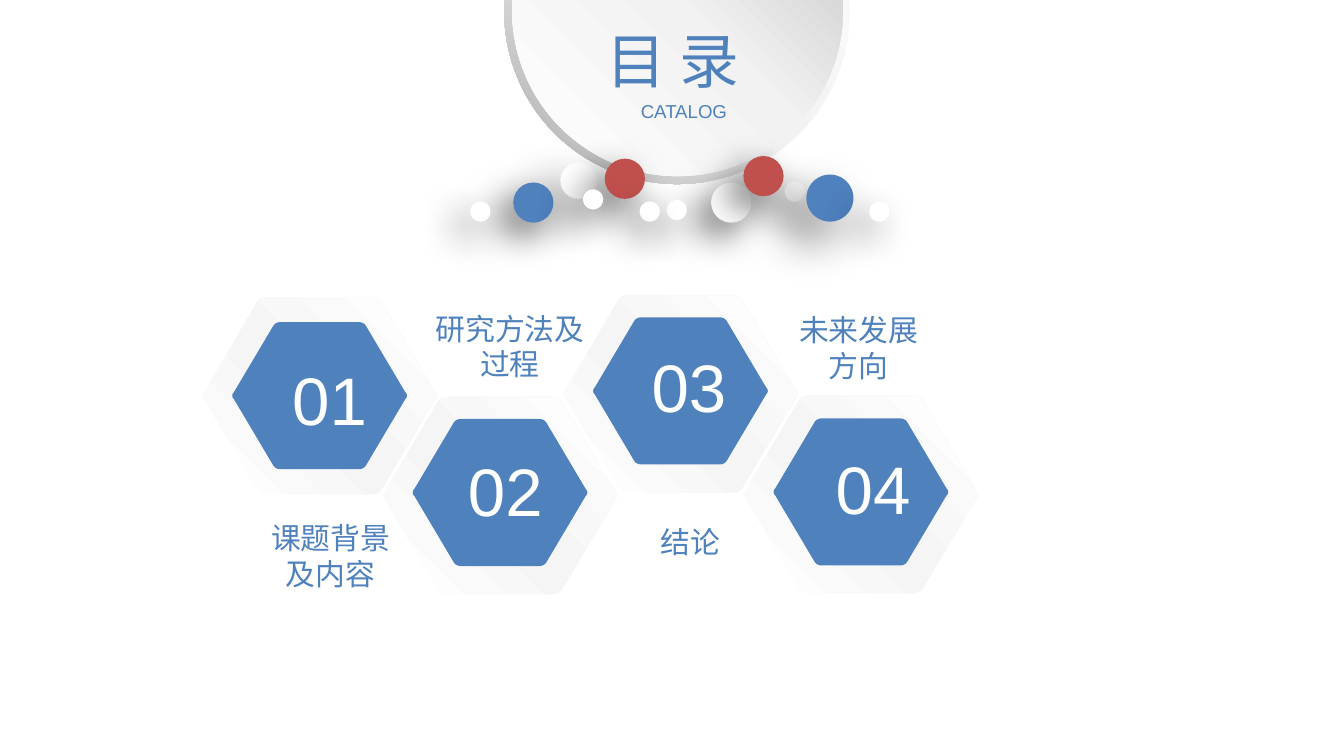
from dataclasses import dataclass
from lxml import etree
from pptx import Presentation
from pptx import util as u
from pptx.dml.color import RGBColor
from pptx.enum import shapes, text
from pptx.oxml.ns import qn


@dataclass(frozen=True)
class Theme:
    blue: str = "4F81BD"
    red: str = "C0504D"
    white: str = "FFFFFF"
    shadow: str = "000000"
    rim: tuple = ((0, "FFFFFF"), (55, "F2F2F2"), (100, "A6A6A6"))
    disc: tuple = ((0, "FFFFFF"), (51, "F2F2F2"), (100, "BFBFBF"))
    sheen: tuple = ((0, "FFFFFF"), (47, "F5F5F5"), (100, "FFFFFF"))
    latin: str = "Arial"
    cjk: str = "Noto Sans CJK SC"
    title: int = 32
    subtitle: int = 10
    number: int = 36
    label: int = 16


def bezier(a, b, c, d, steps=6):
    """Points along a cubic curve, both ends included."""
    for i in range(steps + 1):
        t = i / steps
        v = 1 - t
        yield tuple(v**3 * p + 3 * v * v * t * q + 3 * v * t * t * m + t**3 * n
                    for p, q, m, n in zip(a, b, c, d))


def rounded_hexagon():
    """Outline with soft corners, centred on 0,0 and reaching from -1 to 1."""
    top = list(bezier((.45, -1), (.485, -1), (.515, -.98), (.53, -.95)))
    side = list(bezier((.98, -.05), (1.007, -.02), (1.007, .02), (.98, .05)))
    right = top + side + [(x, -y) for x, y in reversed(top)]
    return right + [(-x, -y) for x, y in right]


class Deck:
    def __init__(self, width, height, theme):
        self.th = theme
        self.prs = Presentation()
        self.prs.slide_width, self.prs.slide_height = u.Cm(width), u.Cm(height)
        self.s = self.prs.slides.add_slide(self.prs.slide_layouts[5])
        self.outline = rounded_hexagon()

    def paint(self, sp, fill, angle=0):
        """Fill with one colour, or with stops along a clockwise angle."""
        sp.shadow.inherit = False
        sp.line.fill.background()
        if isinstance(fill, str):
            sp.fill.solid()
            sp.fill.fore_color.rgb = RGBColor.from_string(fill)
            return
        sp.fill.gradient()
        sp.fill.gradient_angle = 360 - angle
        stops = sp._element.spPr.find(".//" + qn("a:gsLst"))
        for old in list(stops):
            stops.remove(old)
        for pos, colour in fill:
            gs = etree.SubElement(stops, qn("a:gs"), pos=str(pos * 1000))
            etree.SubElement(gs, qn("a:srgbClr"), val=colour)

    def circle(self, left, top, size, fill, angle=0, kind=shapes.MSO_SHAPE.OVAL, into=None):
        sp = (into or self.s).shapes.add_shape(
            kind, u.Cm(left), u.Cm(top), u.Cm(size), u.Cm(size))
        self.paint(sp, fill, angle)
        return sp

    def ball(self, left, top, size, fill, opacity=60, blur=20, dist=10):
        sp = self.circle(left, top, size, fill)
        effects = sp._element.spPr.find(qn("a:effectLst"))
        shadow = etree.SubElement(
            effects, qn("a:outerShdw"), blurRad=str(u.Pt(blur)), dist=str(u.Pt(dist)),
            dir=str(135 * 60000), algn="tr", rotWithShape="0")
        colour = etree.SubElement(shadow, qn("a:srgbClr"), val=self.th.shadow)
        etree.SubElement(colour, qn("a:alpha"), val=str(opacity * 1000))

    def hexagon(self, into, x, y, width, height, fill, angle=0):
        pts = [(u.Cm(x + a * width / 2), u.Cm(y + b * height / 2)) for a, b in self.outline]
        fb = into.shapes.build_freeform(*pts[0])
        fb.add_line_segments(pts[1:], close=True)
        self.paint(fb.convert_to_shape(), fill, angle)

    def add_words(self, sp, words, size, colour, align, anchor=text.MSO_ANCHOR.TOP):
        tf = sp.text_frame
        tf.word_wrap = True
        tf.auto_size = text.MSO_AUTO_SIZE.NONE
        tf.vertical_anchor = anchor
        p = tf.paragraphs[0]
        p.alignment = align
        r = p.add_run()
        r.text = words
        r.font.size = u.Pt(size)
        r.font.color.rgb = RGBColor.from_string(colour)
        r.font.name = self.th.latin
        etree.SubElement(r.font._element, qn("a:ea"), typeface=self.th.cjk)
        return tf

    def textbox(self, box, words, size, colour, into=None, **kw):
        sp = (into or self.s).shapes.add_textbox(*map(u.Cm, box))
        return self.add_words(sp, words, size, colour, text.PP_ALIGN.CENTER, **kw)

    def title(self, box, words):
        sp = self.s.shapes.title
        sp.left, sp.top, sp.width, sp.height = map(u.Cm, box)
        self.s.shapes._spTree.append(sp._element)  # bring in front of the disc
        self.add_words(sp, words, self.th.title, self.th.blue, text.PP_ALIGN.LEFT)

    def chapter(self, number, x, y, inner_shift, number_box, label, label_box):
        th = self.th
        grp = self.s.shapes.add_group_shape()
        self.hexagon(grp, x, y, 4.45, 3.78, th.white)
        self.hexagon(grp, x, y, 4.42, 3.73, th.sheen, 315)
        self.hexagon(grp, x, y + inner_shift, 3.3, 2.78, th.blue)
        self.textbox(number_box, f"{number:02}", th.number, th.white, into=grp)
        self.textbox(label_box, label, th.label, th.blue)


def main():
    th = Theme()
    d = Deck(25.4, 14.29, th)

    badge = d.s.shapes.add_group_shape()
    rim = d.circle(9.53, -3.05, 6.53, th.rim, 135, shapes.MSO_SHAPE.DONUT, badge)
    rim.adjustments[0] = 0.05
    d.circle(9.68, -2.92, 6.25, th.disc, 315, into=badge)

    small, medium = 0.38, 0.76
    soft = (50, 25, 15)
    for ball in [
        (13.44, 3.45, medium, th.white),
        (12.6, 3.78, small, th.white),
        (14.83, 3.43, small, th.white),
        (10.59, 3.07, 0.69, th.white, *soft),
        (11.43, 3, medium, th.red),
        (12.09, 3.81, small, th.white),
        (15.24, 3.3, 0.89, th.blue, *soft),
        (9.7, 3.45, medium, th.blue),
        (8.89, 3.81, small, th.white),
        (14.05, 2.95, medium, th.red),
        (11.02, 3.58, small, th.white),
        (16.43, 3.81, small, th.white),
    ]:
        d.ball(*ball)

    d.title((11.2, 0.33, 3.43, 1.63), "目 录")
    tf = d.textbox((11.02, 1.57, 3.81, 1.07), "CATALOG", th.subtitle, th.blue,
                   anchor=text.MSO_ANCHOR.MIDDLE)
    tf.margin_left = tf.margin_right = u.Cm(0.18)
    tf.margin_top = tf.margin_bottom = u.Cm(0.1)

    chapters = [
        (7.48, 0, (5.11, 6.65, 2.24, 1.8), "课题背景及内容", (4.83, 9.7, 2.84, 1.63)),
        (9.37, -0.06, (8.46, 8.36, 2.18, 1.8), "研究方法及过程", (7.95, 5.74, 3.38, 1.63)),
        (7.45, -0.06, (11.94, 6.4, 2.16, 1.8), "结论", (11.63, 9.78, 2.84, 0.94)),
        (9.35, -0.05, (15.27, 8.33, 2.46, 1.8), "未来发展方向", (14.81, 5.77, 2.84, 1.63)),
    ]
    for i, chapter in enumerate(chapters):
        d.chapter(i + 1, 6.04 + 3.41 * i, *chapter)

    d.prs.save("out.pptx")


if __name__ == "__main__":
    main()
